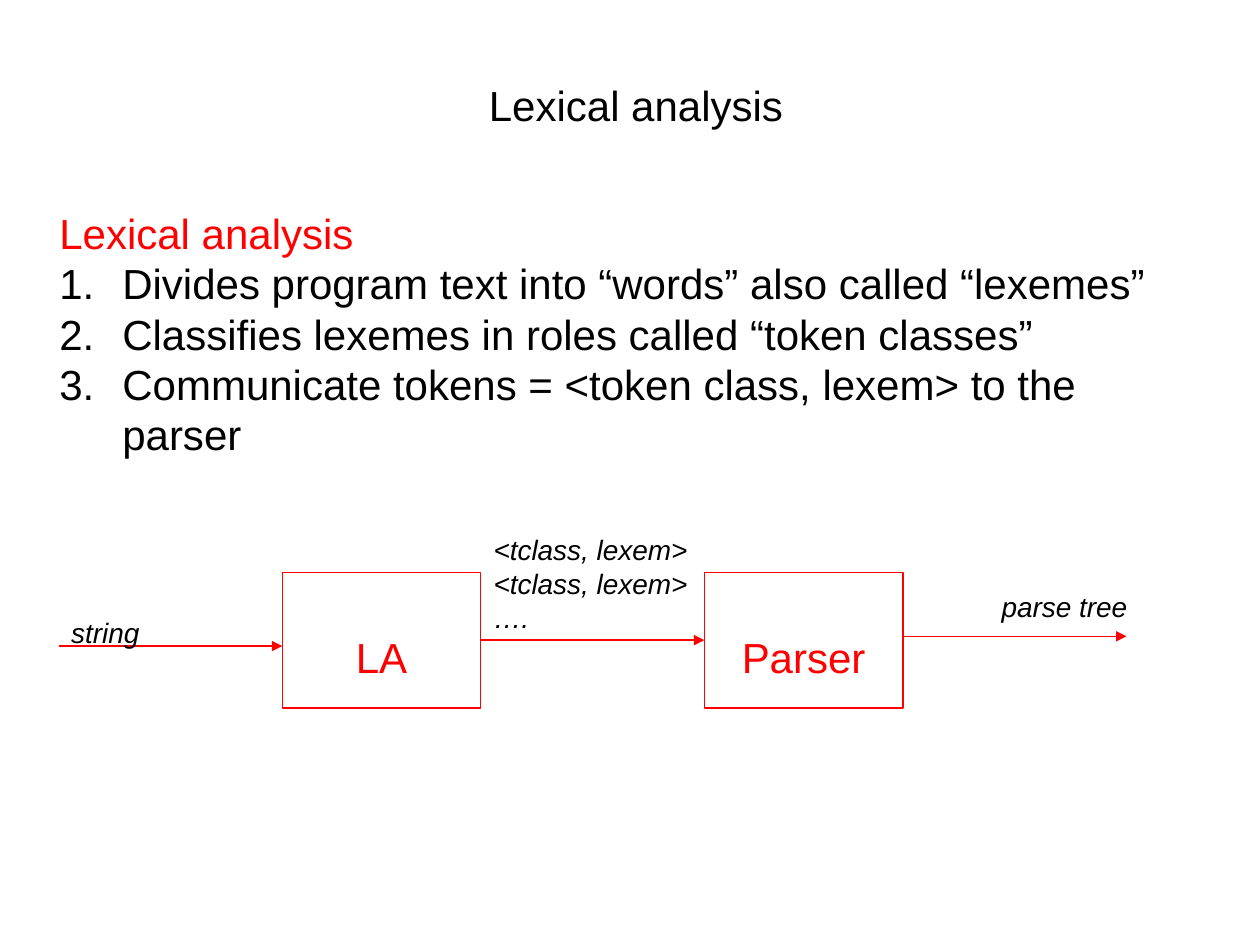
"""Build the slide that explains lexical analysis."""
from dataclasses import dataclass
from typing import Optional

from lxml.etree import SubElement
from pptx import Presentation
from pptx.dml.color import RGBColor
from pptx.enum.shapes import MSO_CONNECTOR as ConnectorKind, MSO_SHAPE as ShapeKind
from pptx.enum.text import MSO_ANCHOR as Anchor, MSO_AUTO_SIZE as AutoSize, PP_ALIGN as Align
from pptx.oxml.ns import qn
from pptx.util import Pt


@dataclass(frozen=True)
class Theme:
    font: str = "Arial"
    ink: RGBColor = RGBColor(0, 0, 0)
    accent: RGBColor = RGBColor(255, 0, 0)
    large: float = 24
    small: float = 16
    line_factor: float = 1.2
    stroke: float = 0.75


@dataclass(frozen=True)
class Stage:
    name: str
    left: float


@dataclass(frozen=True)
class Label:
    lines: tuple[str, ...]
    left: float
    top: float
    width: float
    height: float


@dataclass(frozen=True)
class Arrow:
    left: float
    middle: float
    source: Optional[str] = None
    target: Optional[str] = None


THEME = Theme()
STAGE_TOP, STAGE_WIDTH, STAGE_HEIGHT = 327, 113.5, 77.6
ARROW_LENGTH = 127.7
STAGES = (Stage("LA", 161.3), Stage("Parser", 402.5))
ARROWS = (
    Arrow(274.8, 365.8, "LA", "Parser"),
    Arrow(33.6, 369.2),
    Arrow(516, 363.6),
)
LABELS = (
    Label(("string",), 33.6, 348, 54, 26.6),
    Label(("<tclass, lexem>", "<tclass, lexem>", "…."), 275, 301, 126.7, 65.5),
    Label(("parse tree",), 565.2, 333.4, 87, 26.6),
)
HEADING = "Lexical analysis"
STEPS = (
    "Divides program text into “words” also called “lexemes”",
    "Classifies lexemes in roles called “token classes”",
    "Communicate tokens = <token class, lexem> to the parser",
)


def place(shape, left: float, top: float, width: float, height: float) -> None:
    """Move and size a shape in points."""
    shape.left, shape.top = Pt(left), Pt(top)
    shape.width, shape.height = Pt(width), Pt(height)


def write(para, text: str, size: float, color: RGBColor,
          align: Align = Align.LEFT, italic: bool = False) -> None:
    """Add one formatted run to a paragraph."""
    para.alignment = align
    para.space_before = Pt(0)
    para.line_spacing = Pt(size * THEME.line_factor)
    span = para.add_run()
    span.text = text
    span.font.name, span.font.size = THEME.font, Pt(size)
    span.font.color.rgb, span.font.italic = color, italic


def set_list(para, indent: float, numbered: bool) -> None:
    """Set the hanging indent and numbering of a paragraph."""
    props = para._p.get_or_add_pPr()
    props.set("marL", str(Pt(indent)))
    props.set("indent", str(Pt(-indent)))
    if numbered:
        SubElement(props, qn("a:buFont"), typeface=THEME.font)
        SubElement(props, qn("a:buAutoNum"), type="arabicPeriod")
    else:
        SubElement(props, qn("a:buNone"))


def fill_title(title) -> None:
    """Format and fill the title placeholder."""
    place(title, 0, 0, 720, 80)
    frame = title.text_frame
    frame.auto_size, frame.vertical_anchor = AutoSize.NONE, Anchor.BOTTOM
    frame.margin_left, frame.margin_bottom = Pt(14), Pt(5.5)
    write(frame.paragraphs[0], HEADING, THEME.large, THEME.ink, Align.CENTER)


def fill_body(body) -> None:
    """Format the body placeholder and fill in its heading and steps."""
    place(body, 26.7, 114.8, 652.3, 152.6)
    frame = body.text_frame
    frame.auto_size, frame.vertical_anchor = AutoSize.NONE, Anchor.TOP
    heading = frame.paragraphs[0]
    set_list(heading, 0, False)
    write(heading, HEADING, THEME.large, THEME.accent)
    for step in STEPS:
        para = frame.add_paragraph()
        set_list(para, 36, True)
        write(para, step, THEME.large, THEME.ink)


def draw_stage(page, stage: Stage):
    """Draw one processing stage and return its box."""
    box = page.shapes.add_shape(ShapeKind.RECTANGLE, Pt(stage.left), Pt(STAGE_TOP),
                                Pt(STAGE_WIDTH), Pt(STAGE_HEIGHT))
    box.shadow.inherit = False
    box.fill.background()
    box.line.color.rgb, box.line.width = THEME.accent, Pt(THEME.stroke)
    frame = box.text_frame
    frame.vertical_anchor, frame.margin_top = Anchor.TOP, Pt(33.6)
    write(frame.paragraphs[0], stage.name, THEME.large, THEME.accent, Align.CENTER)
    return box


def draw_arrow(page, arrow: Arrow, boxes: dict) -> None:
    """Draw a horizontal arrow, joined to its stages where it has any."""
    line = page.shapes.add_connector(
        ConnectorKind.STRAIGHT, Pt(arrow.left), Pt(arrow.middle),
        Pt(arrow.left + ARROW_LENGTH), Pt(arrow.middle))
    if arrow.source:
        line.begin_connect(boxes[arrow.source], 3)
    if arrow.target:
        line.end_connect(boxes[arrow.target], 1)
    line.line.color.rgb, line.line.width = THEME.accent, Pt(THEME.stroke)
    props = line.element.spPr
    SubElement(props.find(qn("a:ln")), qn("a:tailEnd"), type="triangle")
    SubElement(props, qn("a:effectLst"))


def draw_label(page, label: Label) -> None:
    """Write an italic label, one paragraph a line."""
    box = page.shapes.add_textbox(Pt(label.left), Pt(label.top),
                                  Pt(label.width), Pt(label.height))
    frame = box.text_frame
    frame.word_wrap = False
    for index, text in enumerate(label.lines):
        para = frame.add_paragraph() if index else frame.paragraphs[0]
        write(para, text, THEME.small, THEME.ink, italic=True)


def main() -> None:
    """Build and save the deck."""
    deck = Presentation()
    deck.slide_width, deck.slide_height = Pt(720), Pt(540)
    page = deck.slides.add_slide(deck.slide_layouts[1])
    fill_title(page.shapes.title)
    fill_body(page.placeholders[1])
    boxes = {stage.name: draw_stage(page, stage) for stage in STAGES}
    for arrow in ARROWS:
        draw_arrow(page, arrow, boxes)
    for label in LABELS:
        draw_label(page, label)
    deck.save("out.pptx")


if __name__ == "__main__":
    main()
